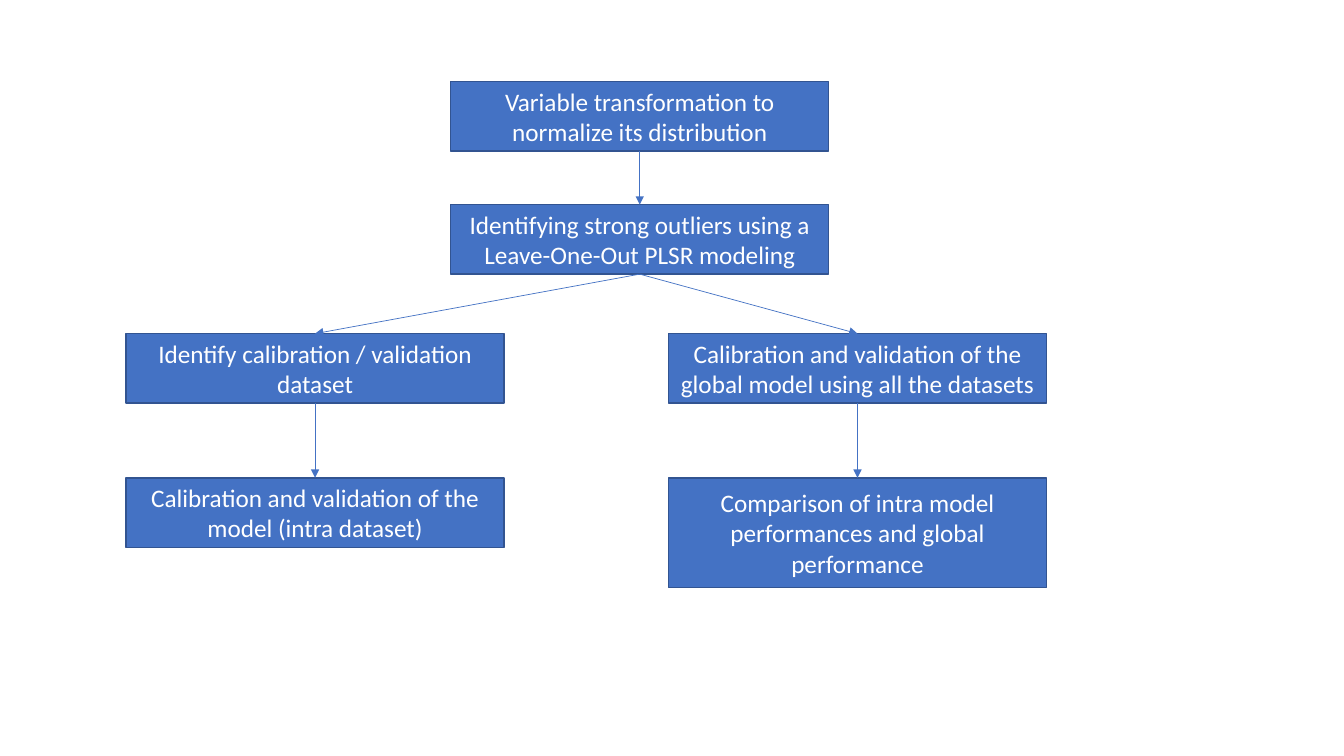
from lxml.etree import SubElement
from pptx import Presentation
from pptx.dml.color import RGBColor
from pptx.enum.shapes import MSO_CONNECTOR, MSO_SHAPE
from pptx.enum.text import MSO_ANCHOR, PP_ALIGN
from pptx.oxml.ns import qn
from pptx.util import Inches, Pt

# Content: key -> (text, column, row, height)
STEPS = {
    "transform": ("Variable transformation to normalize its distribution", "center", 0, 0.69),
    "outliers": ("Identifying strong outliers using a Leave-One-Out PLSR modeling", "center", 1, 0.69),
    "split": ("Identify calibration / validation dataset", "left", 2, 0.69),
    "intra": ("Calibration and validation of the model (intra dataset)", "left", 3, 0.69),
    "global": ("Calibration and validation of the global model using all the datasets", "right", 2, 0.69),
    "comparison": ("Comparison of intra model performances and global performance", "right", 3, 1.09),
}
ARROWS = [
    ("transform", "outliers"),
    ("outliers", "split"),
    ("outliers", "global"),
    ("split", "intra"),
    ("global", "comparison"),
]

# Layout and style
COLUMN_LEFT = {"left": 1.25, "center": 4.47, "right": 6.63}
ROW_TOP = [0.81, 2.03, 3.31, 4.74]
BOX_WIDTH = 3.75
COLORS = {"blue": "4472C4", "border": "325491", "text": "FFFFFF"}
FONT = "Calibri"
BOTTOM, TOP = 2, 0


def color(name):
    return RGBColor.from_string(COLORS[name])


def add_step(slide, text, column, row, height):
    shape = slide.shapes.add_shape(
        MSO_SHAPE.RECTANGLE, Inches(COLUMN_LEFT[column]), Inches(ROW_TOP[row]),
        Inches(BOX_WIDTH), Inches(height))
    shape.shadow.inherit = False
    shape.fill.solid()
    shape.fill.fore_color.rgb = color("blue")
    shape.line.color.rgb = color("border")
    shape.line.width = Pt(1)
    frame = shape.text_frame
    frame.word_wrap = True
    frame.vertical_anchor = MSO_ANCHOR.MIDDLE
    paragraph = frame.paragraphs[0]
    paragraph.alignment = PP_ALIGN.CENTER
    run = paragraph.add_run()
    run.text = text
    run.font.name = FONT
    run.font.size = Pt(18)
    run.font.color.rgb = color("text")
    return shape


def add_arrow(slide, source, target):
    connector = slide.shapes.add_connector(MSO_CONNECTOR.STRAIGHT, 0, 0, 0, 0)
    connector.begin_connect(source, BOTTOM)
    connector.end_connect(target, TOP)
    connector.line.color.rgb = color("blue")
    connector.line.width = Pt(0.5)
    # Arrowhead, and no theme shadow
    SubElement(connector.line._get_or_add_ln(), qn("a:tailEnd"), type="triangle")
    SubElement(connector._element.spPr, qn("a:effectLst"))


def main():
    presentation = Presentation()
    presentation.slide_width = Inches(13.33)
    presentation.slide_height = Inches(7.5)
    slide = presentation.slides.add_slide(presentation.slide_layouts[6])

    # Boxes, then the arrows that join them
    boxes = {key: add_step(slide, *step) for key, step in STEPS.items()}
    for source, target in ARROWS:
        add_arrow(slide, boxes[source], boxes[target])

    presentation.save("out.pptx")


if __name__ == "__main__":
    main()
